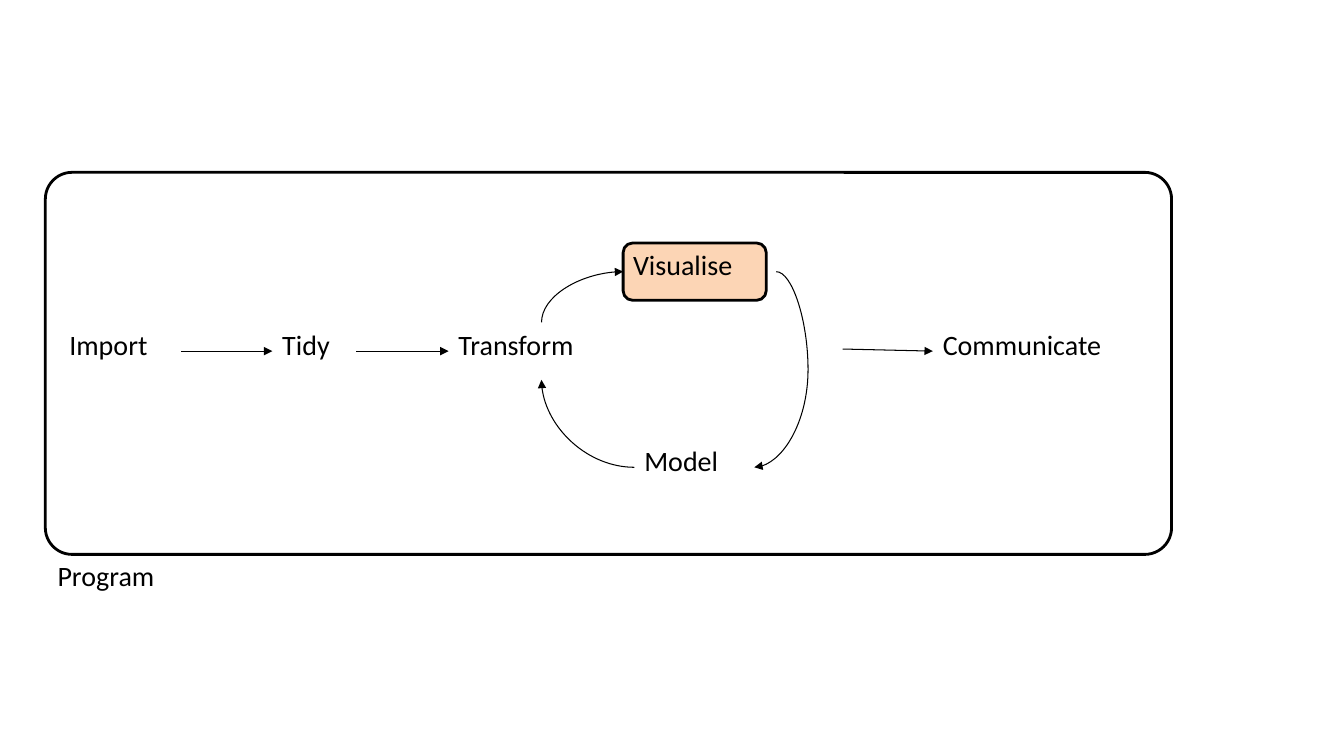
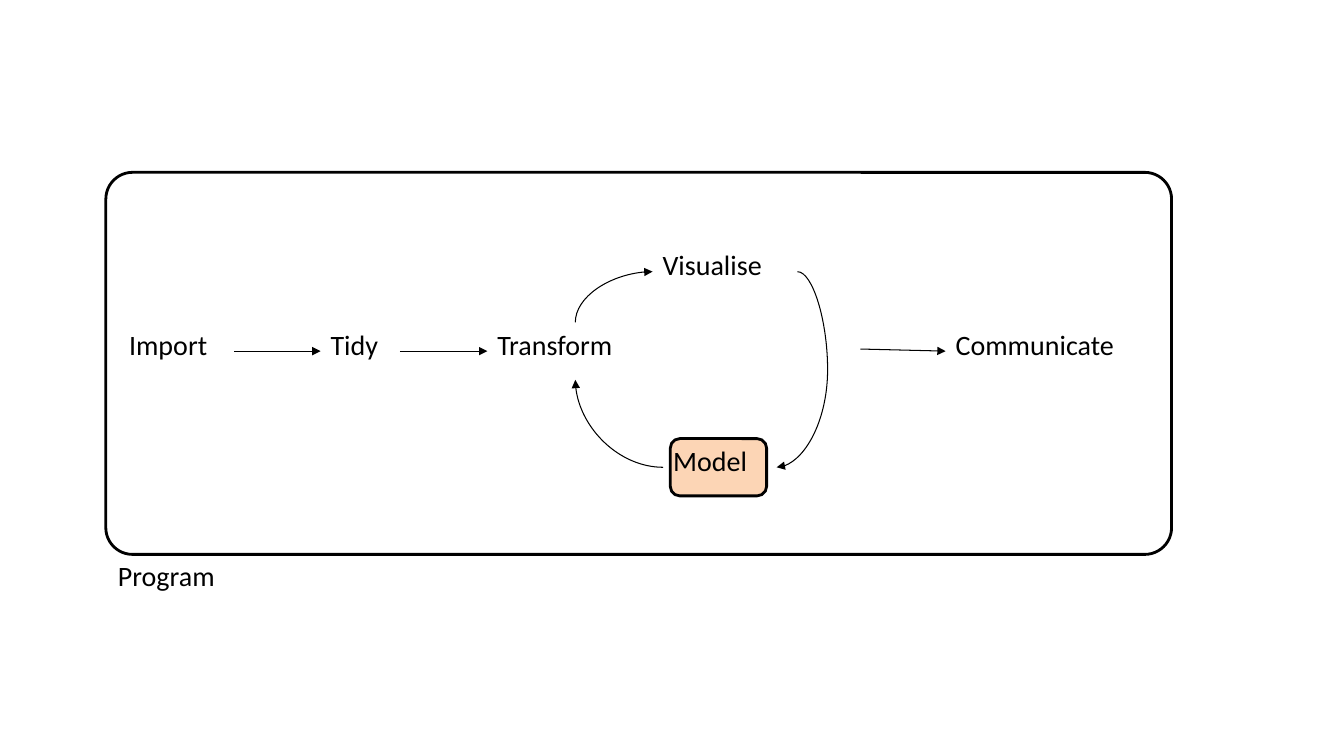
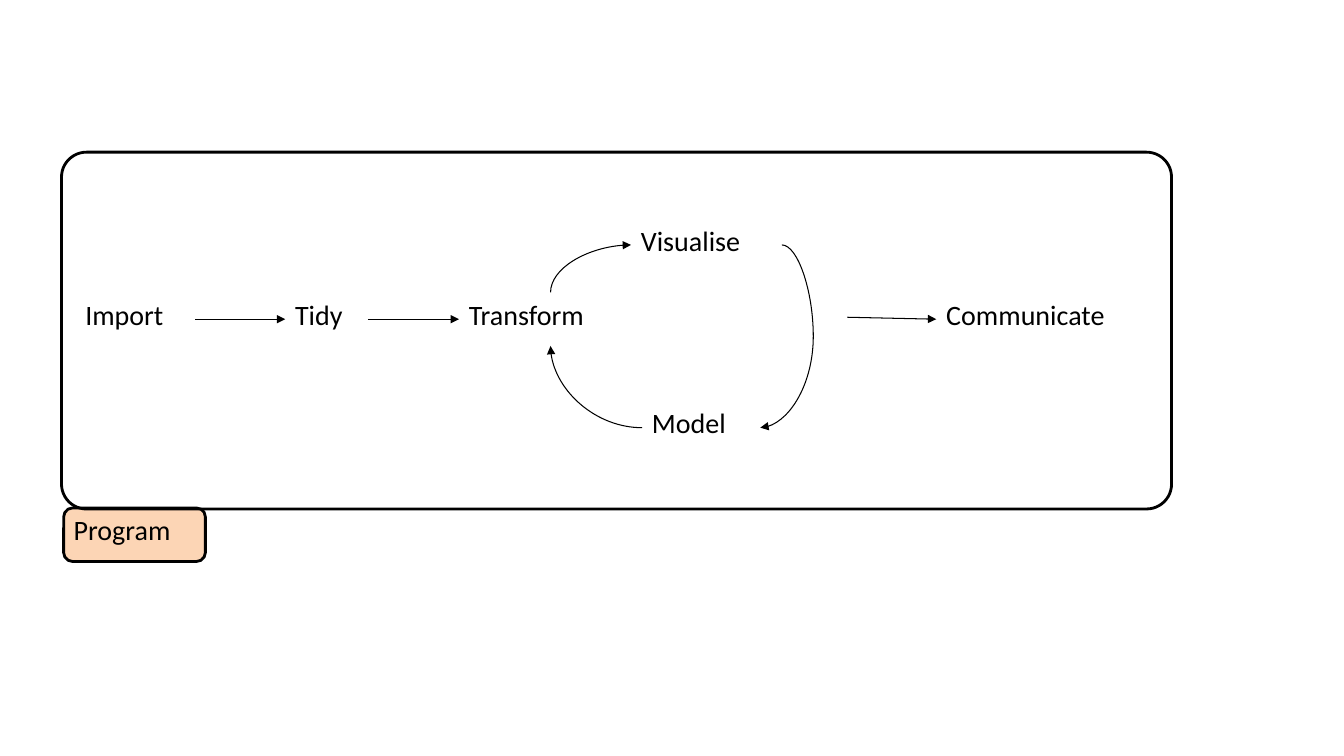
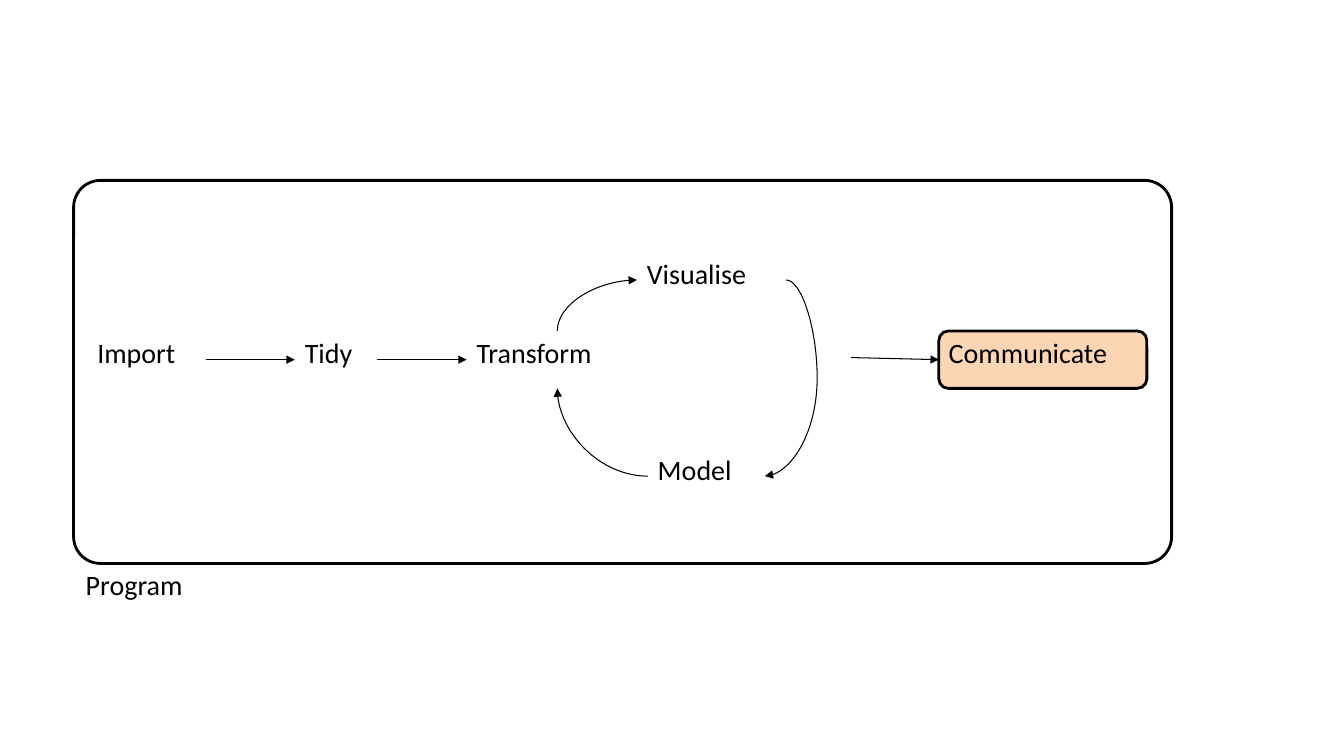
from lxml import etree
from pptx import Presentation
from pptx.dml.color import RGBColor
from pptx.enum.shapes import MSO_CONNECTOR, MSO_SHAPE
from pptx.oxml.ns import qn
from pptx.util import Inches, Pt

STRAIGHT = MSO_CONNECTOR.STRAIGHT
CURVE = MSO_CONNECTOR.CURVE
ROUNDED = MSO_SHAPE.ROUNDED_RECTANGLE

BLACK = "000000"
PEACH = "FCD5B5"
FONT = "Calibri"
FRAME_RIGHT = 11.62

# Steps are (left, top, width) in percent of the frame.
ROW_HEIGHT = 15
MIDDLE_ROW = 39.3
STEPS = {
    "Import": (1.25, MIDDLE_ROW, 10.8),
    "Tidy": (20.15, MIDDLE_ROW, 7.45),
    "Model": (52.3, 69.7, 10.65),
    "Communicate": (78.8, MIDDLE_ROW, 20.05),
    "Transform": (35.8, MIDDLE_ROW, 16.5),
    "Visualise": (51.3, 18.5, 13.6),
    "Program": (0.2, 99.7, 14.4),
}

# Each slide: frame left, top, height; highlighted step; its left and right insets.
SLIDES = [
    ((0.45, 1.71, 3.79), "Visualise", (0, 0.1)),
    ((1.05, 1.71, 3.79), "Model", (0.07, 0.1)),
    ((0.61, 1.51, 3.54), "Program", (0, 0.18)),
    ((0.73, 1.79, 3.8), "Communicate", (0, 0.12)),
]


def color(value):
    """Turn a hex string into a colour."""
    return RGBColor.from_string(value)


def place(frame, x, y):
    """Turn percentages of the frame into inches on the slide."""
    left, top, height = frame
    return left + (FRAME_RIGHT - left) * x / 100, top + height * y / 100


def step_box(frame, name):
    """Return left, top, width and height of a step in inches."""
    x, y, width = STEPS[name]
    left, top = place(frame, x, y)
    right, bottom = place(frame, x + width, y + ROW_HEIGHT)
    return left, top, right - left, bottom - top


def edges(frame, name):
    """Return the left, right, top and bottom midpoints of a step."""
    left, top, width, height = step_box(frame, name)
    center, middle = left + width / 2, top + height / 2
    return {
        "left": (left, middle),
        "right": (left + width, middle),
        "top": (center, top),
        "bottom": (center, top + height),
    }


def add_rounded(slide, box, fill=None, radius=None):
    """Draw a black-outlined rounded rectangle."""
    shape = slide.shapes.add_shape(ROUNDED, *map(Inches, box))
    shape.shadow.inherit = False
    if fill:
        shape.fill.solid()
        shape.fill.fore_color.rgb = color(fill)
    else:
        shape.fill.background()
    if radius is not None:
        shape.adjustments[0] = radius
    shape.line.color.rgb = color(BLACK)
    shape.line.width = Pt(2)


def add_label(slide, frame, name):
    """Write the name of a step in its box."""
    text_box = slide.shapes.add_textbox(*map(Inches, step_box(frame, name)))
    text_box.text_frame.word_wrap = True
    run = text_box.text_frame.paragraphs[0].add_run()
    run.text = name
    run.font.name = FONT
    run.font.size = Pt(20)
    run.font.color.rgb = color(BLACK)


def add_arrow(slide, start, end, kind=STRAIGHT):
    """Draw a thin line with a triangular head at its end."""
    connector = slide.shapes.add_connector(kind, *map(Inches, (*start, *end)))
    connector.line.color.rgb = color(BLACK)
    connector.line.width = Pt(0.75)
    line = connector.line._get_or_add_ln()
    etree.SubElement(line, qn("a:tailEnd"), type="triangle")
    etree.SubElement(connector._element.spPr, qn("a:effectLst"))
    return connector


def add_quarter_curve(slide, start, end, turns):
    """Draw a one-bend curved arrow turned by a number of right angles."""
    center_x, center_y = (start[0] + end[0]) / 2, (start[1] + end[1]) / 2
    half_x, half_y = end[0] - center_x, end[1] - center_y
    for _ in range(turns):
        half_x, half_y = half_y, -half_x
    connector = add_arrow(
        slide,
        (center_x - half_x, center_y - half_y),
        (center_x + half_x, center_y + half_y),
        CURVE,
    )
    properties = connector._element.spPr
    properties.find(qn("a:xfrm")).set("rot", str(turns * 90 * 60000))
    properties.find(qn("a:prstGeom")).set("prst", "curvedConnector2")


def add_bulging_curve(slide, start, end, bend):
    """Draw a curved arrow whose bend lies at a share of its width."""
    connector = add_arrow(slide, start, end, CURVE)
    geometry = connector._element.spPr.find(qn("a:prstGeom"))
    guides = geometry.find(qn("a:avLst"))
    if guides is None:
        guides = etree.SubElement(geometry, qn("a:avLst"))
    etree.SubElement(guides, qn("a:gd"), name="adj1", fmla=f"val {round(bend * 100000)}")


def add_arrows(slide, frame):
    """Connect the steps of the workflow."""
    points = {name: edges(frame, name) for name in STEPS}
    for source, target in (("Import", "Tidy"), ("Tidy", "Transform")):
        add_arrow(slide, points[source]["right"], points[target]["left"])
    add_quarter_curve(slide, points["Transform"]["top"], points["Visualise"]["left"], 1)
    add_bulging_curve(slide, points["Visualise"]["right"], points["Model"]["right"], -1.45)
    add_quarter_curve(slide, points["Model"]["left"], points["Transform"]["bottom"], 2)
    add_arrow(slide, place(frame, 70.8, 46.25), points["Communicate"]["left"])


def add_workflow(slide, frame, highlighted, insets):
    """Draw the whole workflow with one step highlighted."""
    left, top, width, height = step_box(frame, highlighted)
    add_rounded(slide, (left + insets[0], top, width - sum(insets), height), PEACH)
    for name in STEPS:
        add_label(slide, frame, name)
    add_arrows(slide, frame)
    frame_left, frame_top, frame_height = frame
    frame_box = (frame_left, frame_top, FRAME_RIGHT - frame_left, frame_height)
    add_rounded(slide, frame_box, radius=0.07)


def main():
    """Build and save the presentation."""
    presentation = Presentation()
    presentation.slide_width = Inches(13.33)
    presentation.slide_height = Inches(7.5)
    blank = presentation.slide_layouts[6]
    for frame, highlighted, insets in SLIDES:
        add_workflow(presentation.slides.add_slide(blank), frame, highlighted, insets)
    presentation.save("out.pptx")


if __name__ == "__main__":
    main()
